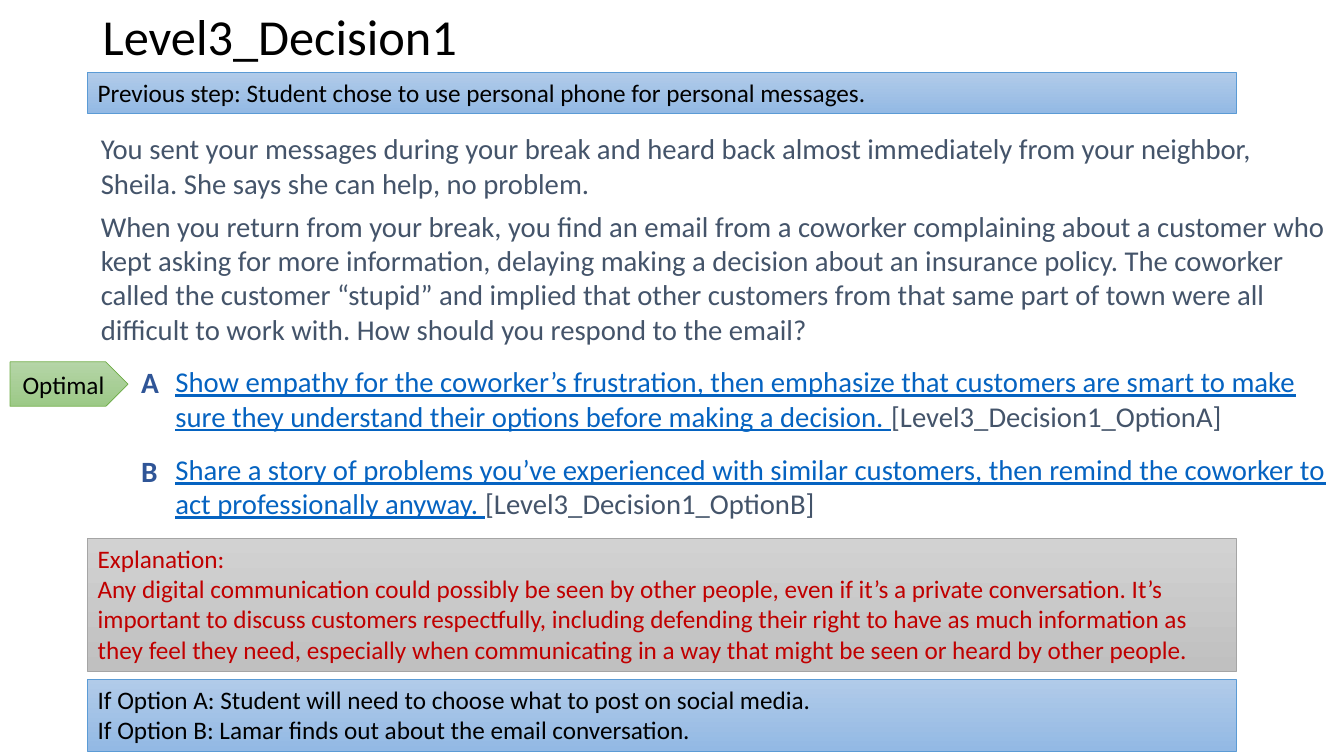
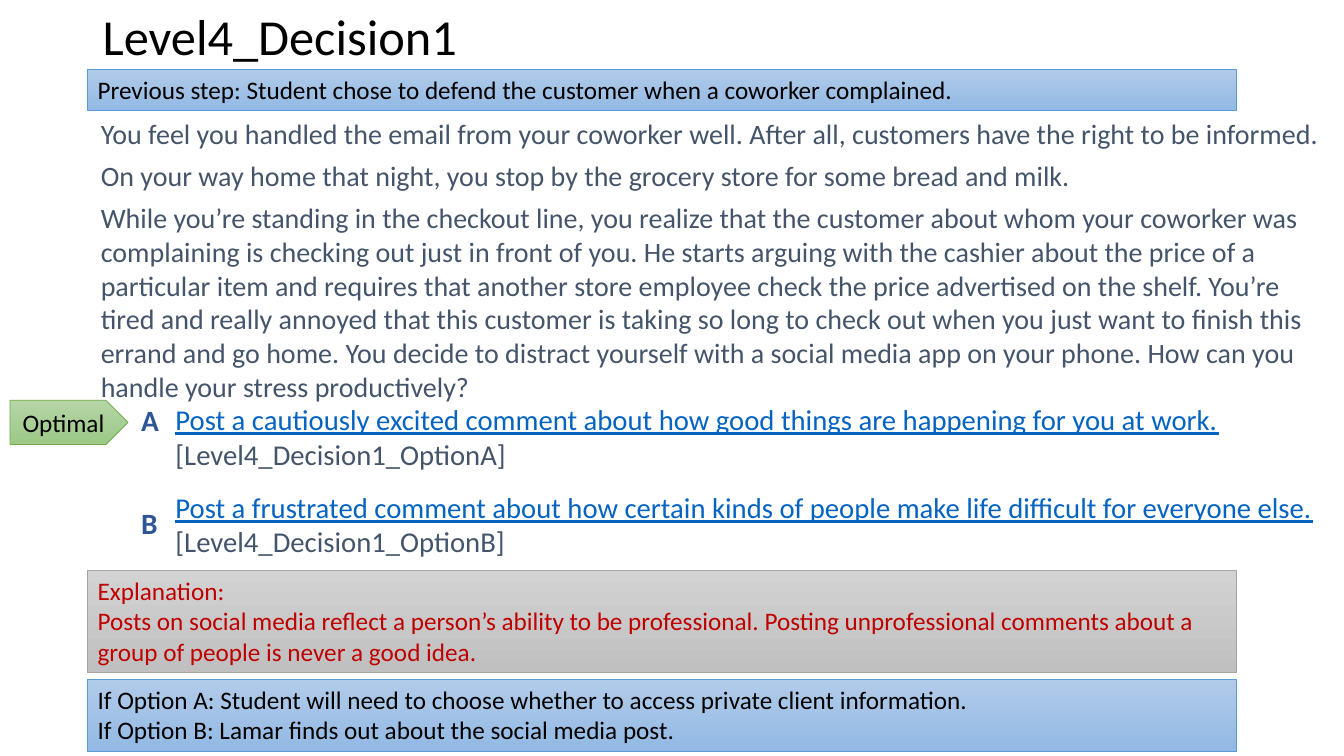
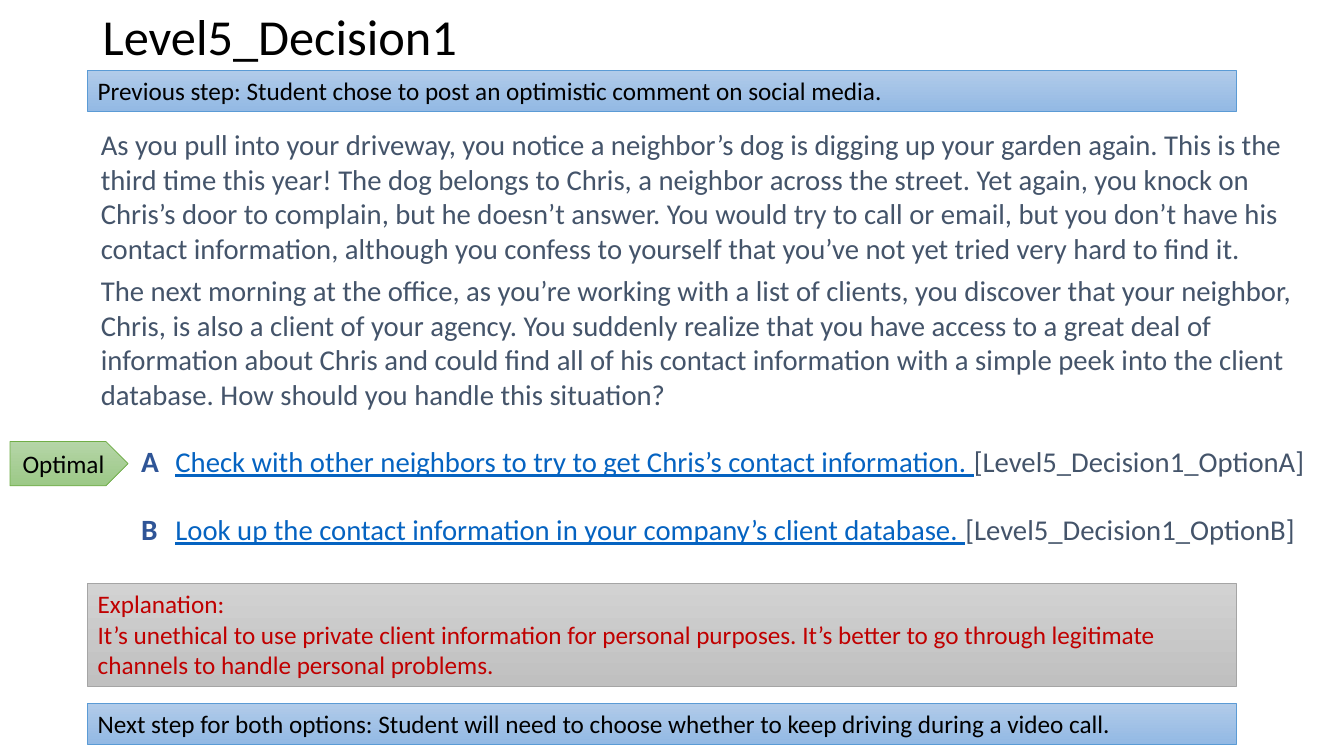
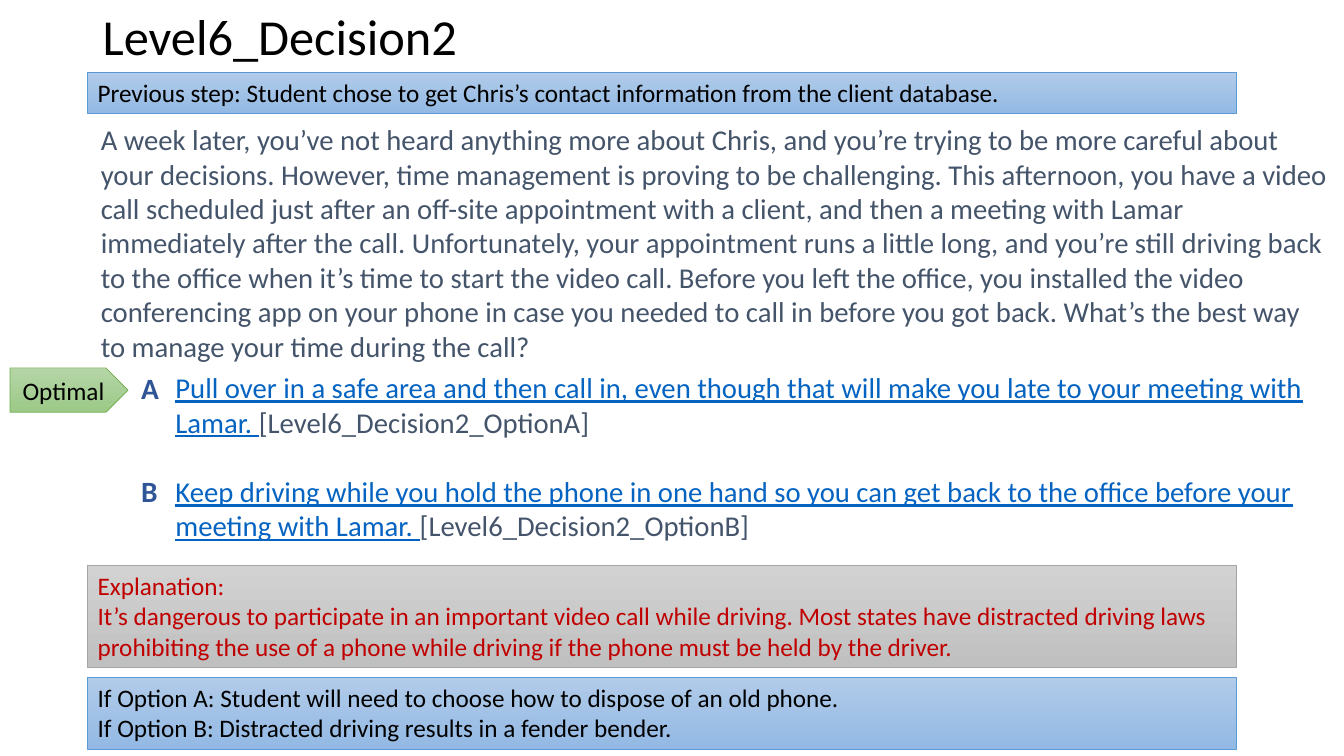
from dataclasses import dataclass

from pptx import Presentation
from pptx.dml.color import RGBColor
from pptx.enum.shapes import MSO_SHAPE
from pptx.enum.text import MSO_ANCHOR, PP_ALIGN
from pptx.util import Inches, Pt


@dataclass(frozen=True)
class Theme:
    font: str = "Calibri"
    black: str = "000000"
    body: str = "44546A"
    link: str = "0563C1"
    letter: str = "2F5597"
    warning: str = "C00000"
    # gradient top, gradient bottom, outline
    blue: tuple = ("B1CBE9", "93B9E4", "5B9BD5")
    grey: tuple = ("D2D2D2", "C0C0C0", "A5A5A5")
    green: tuple = ("B5D5A7", "9CC987", "70AD47")
    title_size: float = 36
    letter_size: float = 21
    body_size: float = 20.5
    dense_size: float = 20
    band_size: float = 18


@dataclass
class Decision:
    title: str
    previous: str
    story: list
    options: list
    explanation: str
    next_steps: list
    previous_top: float
    story_top: float
    options_top: float
    letter_step: float
    option_gap: float
    explanation_top: float
    explanation_lines: int
    next_top: float
    story_size: float = Theme.body_size


T = Theme()
SLIDE_W, SLIDE_H = 13.33, 7.5
LEFT, BAND_W = 0.87, 11.39
OPTIONS_LEFT, LETTER_LEFT = 1.61, 1.27
WIDE_INSETS = (0.13, 0.07)
BAND_INSETS = (0.1, 0.05)


def style(r, size, color, bold=False, underline=False):
    r.font.name = T.font
    r.font.size = Pt(size)
    r.font.color.rgb = RGBColor.from_string(color)
    r.font.bold = bold
    r.font.underline = underline


def prepare(sp, insets, anchor=MSO_ANCHOR.TOP):
    tf = sp.text_frame
    tf.word_wrap = True
    tf.vertical_anchor = anchor
    tf.margin_left = tf.margin_right = Inches(insets[0])
    tf.margin_top = tf.margin_bottom = Inches(insets[1])
    return tf


def write(tf, lines, size, color, bold=False, align=PP_ALIGN.LEFT, space_after=0):
    """Set one paragraph per line, all in one style."""
    tf.text = "\n".join(lines)
    for p in tf.paragraphs:
        p.alignment = align
        p.space_after = Pt(space_after)
        for r in p.runs:
            style(r, size, color, bold)


def text_box(s, box, insets=WIDE_INSETS, anchor=MSO_ANCHOR.TOP):
    return prepare(s.shapes.add_textbox(*map(Inches, box)), insets, anchor)


def gradient_shape(s, kind, box, palette, anchor):
    sp = s.shapes.add_shape(kind, *map(Inches, box))
    sp.shadow.inherit = False
    sp.fill.gradient()
    sp.fill.gradient_angle = 270
    for stop, color in zip(sp.fill.gradient_stops, palette):
        stop.color.rgb = RGBColor.from_string(color)
    sp.line.color.rgb = RGBColor.from_string(palette[2])
    sp.line.width = Pt(0.5)
    return prepare(sp, BAND_INSETS, anchor)


def band(s, top, lines, palette, color=T.black, rows=None):
    """Full-width box whose height follows its number of text rows."""
    height = 0.1 + 0.305 * (rows or len(lines))
    tf = gradient_shape(s, MSO_SHAPE.RECTANGLE, (LEFT, top, BAND_W, height),
                        palette, MSO_ANCHOR.TOP)
    write(tf, lines, T.band_size, color)


def title(s, text):
    tf = text_box(s, (0.92, 0.04, 11.5, 0.7), BAND_INSETS, MSO_ANCHOR.MIDDLE)
    write(tf, [text], T.title_size, T.black)
    tf.paragraphs[0].line_spacing = 0.9


def story(s, d):
    tf = text_box(s, (LEFT, d.story_top, SLIDE_W - LEFT, d.options_top - d.story_top))
    write(tf, d.story, d.story_size, T.body, space_after=6)


def option_list(s, d):
    top = d.options_top
    tf = text_box(s, (OPTIONS_LEFT, top, SLIDE_W - OPTIONS_LEFT, d.explanation_top - top))
    for i, (letter, option) in enumerate(zip("AB", d.options)):
        p = tf.add_paragraph() if i else tf.paragraphs[0]
        if i:
            p.space_before = Pt(d.option_gap)
        r = p.add_run()
        r.text = option + " "
        style(r, T.body_size, T.link, underline=True)
        r = p.add_run()
        r.text = f"[{d.title}_Option{letter}]"
        style(r, T.body_size, T.body)
        letter_tf = text_box(s, (LETTER_LEFT, top + i * d.letter_step, 0.7, 0.5))
        write(letter_tf, [letter], T.letter_size, T.letter, bold=True)


def optimal_tag(s, top):
    tf = gradient_shape(s, MSO_SHAPE.PENTAGON, (0.1, top, 1.17, 0.44),
                        T.green, MSO_ANCHOR.MIDDLE)
    write(tf, ["Optimal"], T.band_size, T.black, align=PP_ALIGN.CENTER)


def decision_slide(prs, d):
    s = prs.slides.add_slide(prs.slide_layouts[6])
    story(s, d)
    option_list(s, d)
    title(s, d.title)
    band(s, d.explanation_top, ["Explanation:", d.explanation], T.grey, T.warning,
         d.explanation_lines)
    optimal_tag(s, d.options_top + 0.05)
    band(s, d.next_top, d.next_steps, T.blue)
    band(s, d.previous_top, ["Previous step: " + d.previous], T.blue)


DECISIONS = [
    Decision(
        title="Level3_Decision1",
        previous="Student chose to use personal phone for personal messages.",
        story=[
            "You sent your messages during your break and heard back almost immediately from "
            "your neighbor, Sheila. She says she can help, no problem.",
            "When you return from your break, you find an email from a coworker complaining "
            "about a customer who kept asking for more information, delaying making a decision "
            "about an insurance policy. The coworker called the customer “stupid” and implied "
            "that other customers from that same part of town were all difficult to work with. "
            "How should you respond to the email?",
        ],
        options=[
            "Show empathy for the coworker’s frustration, then emphasize that customers are "
            "smart to make sure they understand their options before making a decision.",
            "Share a story of problems you’ve experienced with similar customers, then remind "
            "the coworker to act professionally anyway.",
        ],
        explanation="Any digital communication could possibly be seen by other people, even if "
                    "it’s a private conversation. It’s important to discuss customers "
                    "respectfully, including defending their right to have as much information "
                    "as they feel they need, especially when communicating in a way that might "
                    "be seen or heard by other people.",
        next_steps=[
            "If Option A: Student will need to choose what to post on social media.",
            "If Option B: Lamar finds out about the email conversation.",
        ],
        previous_top=0.72, story_top=1.23, options_top=3.54, letter_step=0.89, option_gap=13.4,
        explanation_top=5.34, explanation_lines=4, next_top=6.74,
    ),
    Decision(
        title="Level4_Decision1",
        previous="Student chose to defend the customer when a coworker complained.",
        story=[
            "You feel you handled the email from your coworker well. After all, customers have "
            "the right to be informed.",
            "On your way home that night, you stop by the grocery store for some bread and milk.",
            "While you’re standing in the checkout line, you realize that the customer about "
            "whom your coworker was complaining is checking out just in front of you. He starts "
            "arguing with the cashier about the price of a particular item and requires that "
            "another store employee check the price advertised on the shelf. You’re tired and "
            "really annoyed that this customer is taking so long to check out when you just "
            "want to finish this errand and go home. You decide to distract yourself with a "
            "social media app on your phone. How can you handle your stress productively?",
        ],
        options=[
            "Post a cautiously excited comment about how good things are happening for you at "
            "work.",
            "Post a frustrated comment about how certain kinds of people make life difficult "
            "for everyone else.",
        ],
        explanation="Posts on social media reflect a person’s ability to be professional. "
                    "Posting unprofessional comments about a group of people is never a good "
                    "idea.",
        next_steps=[
            "If Option A: Student will need to choose whether to access private client "
            "information.",
            "If Option B: Lamar finds out about the social media post.",
        ],
        previous_top=0.69, story_top=1.09, options_top=3.92, letter_step=1.02, option_gap=13.4,
        explanation_top=5.66, explanation_lines=3, next_top=6.74, story_size=T.dense_size,
    ),
    Decision(
        title="Level5_Decision1",
        previous="Student chose to post an optimistic comment on social media.",
        story=[
            "As you pull into your driveway, you notice a neighbor’s dog is digging up your "
            "garden again. This is the third time this year! The dog belongs to Chris, a "
            "neighbor across the street. Yet again, you knock on Chris’s door to complain, but "
            "he doesn’t answer. You would try to call or email, but you don’t have his contact "
            "information, although you confess to yourself that you’ve not yet tried very hard "
            "to find it.",
            "The next morning at the office, as you’re working with a list of clients, you "
            "discover that your neighbor, Chris, is also a client of your agency. You suddenly "
            "realize that you have access to a great deal of information about Chris and could "
            "find all of his contact information with a simple peek into the client database. "
            "How should you handle this situation?",
        ],
        options=[
            "Check with other neighbors to try to get Chris’s contact information.",
            "Look up the contact information in your company’s client database.",
        ],
        explanation="It’s unethical to use private client information for personal purposes. "
                    "It’s better to go through legitimate channels to handle personal problems.",
        next_steps=[
            "Next step for both options: Student will need to choose whether to keep driving "
            "during a video call.",
        ],
        previous_top=0.7, story_top=1.19, options_top=4.33, letter_step=0.67, option_gap=24.4,
        explanation_top=5.79, explanation_lines=3, next_top=6.98,
    ),
    Decision(
        title="Level6_Decision2",
        previous="Student chose to get Chris’s contact information from the client database.",
        story=[
            "A week later, you’ve not heard anything more about Chris, and you’re trying to be "
            "more careful about your decisions. However, time management is proving to be "
            "challenging. This afternoon, you have a video call scheduled just after an "
            "off-site appointment with a client, and then a meeting with Lamar immediately "
            "after the call. Unfortunately, your appointment runs a little long, and you’re "
            "still driving back to the office when it’s time to start the video call. Before "
            "you left the office, you installed the video conferencing app on your phone in "
            "case you needed to call in before you got back. What’s the best way to manage your "
            "time during the call?",
        ],
        options=[
            "Pull over in a safe area and then call in, even though that will make you late to "
            "your meeting with Lamar.",
            "Keep driving while you hold the phone in one hand so you can get back to the "
            "office before your meeting with Lamar.",
        ],
        explanation="It’s dangerous to participate in an important video call while driving. "
                    "Most states have distracted driving laws prohibiting the use of a phone "
                    "while driving if the phone must be held by the driver.",
        next_steps=[
            "If Option A: Student will need to choose how to dispose of an old phone.",
            "If Option B: Distracted driving results in a fender bender.",
        ],
        previous_top=0.72, story_top=1.14, options_top=3.6, letter_step=1.02, option_gap=25,
        explanation_top=5.61, explanation_lines=3, next_top=6.72,
    ),
]


def main():
    prs = Presentation()
    prs.slide_width, prs.slide_height = Inches(SLIDE_W), Inches(SLIDE_H)
    for d in DECISIONS:
        decision_slide(prs, d)
    prs.save("out.pptx")


if __name__ == "__main__":
    main()
